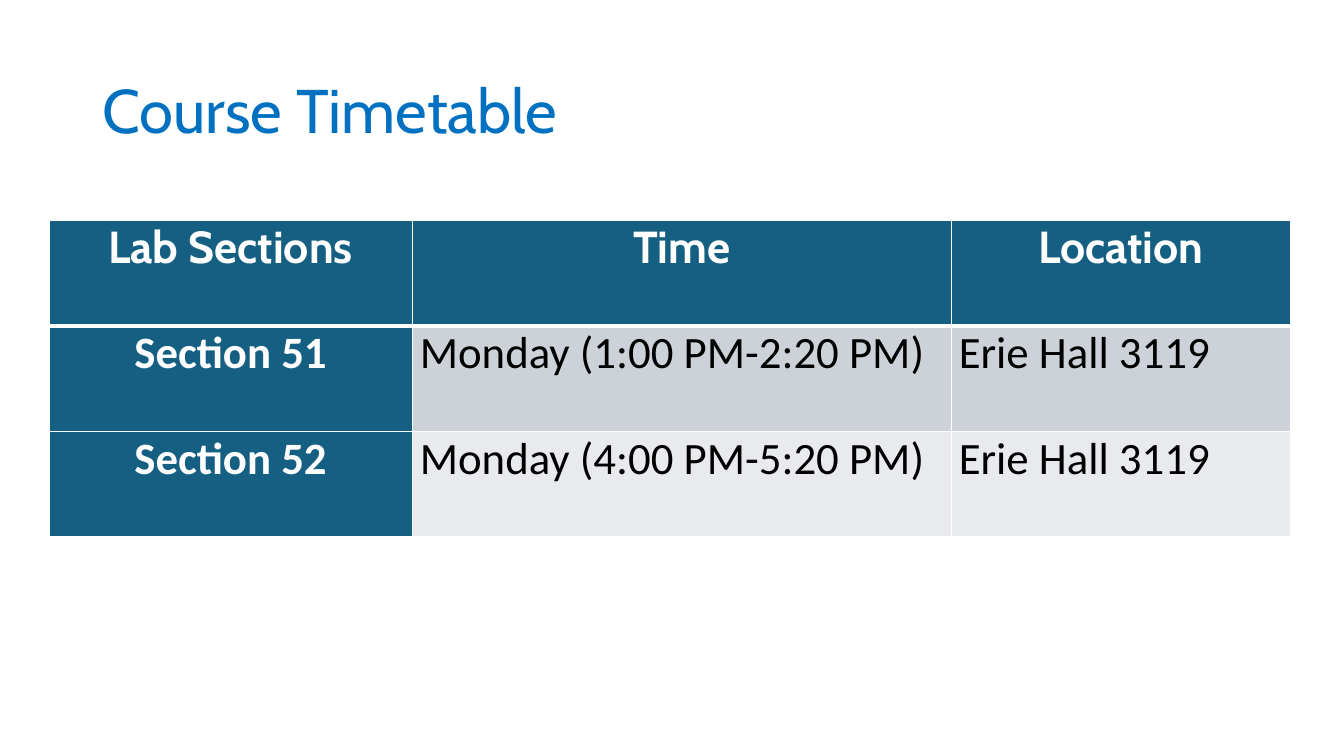
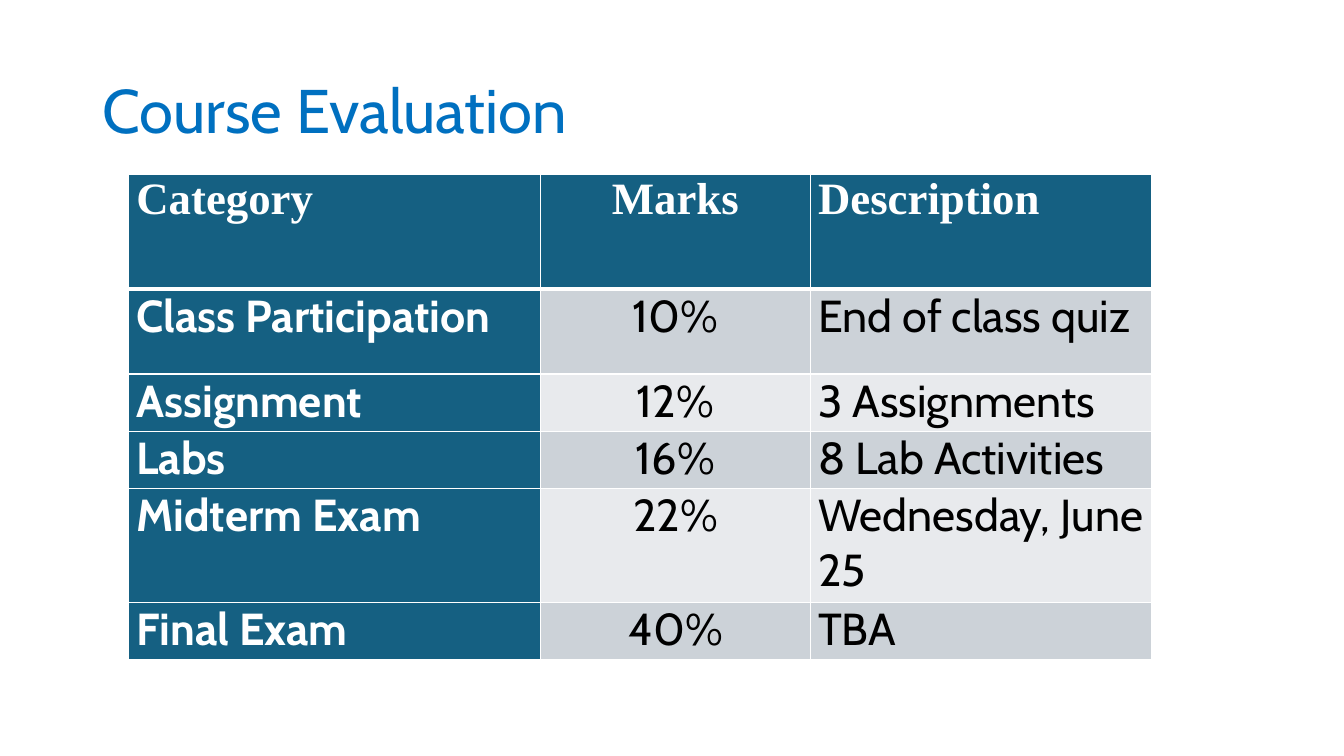
from lxml import etree
from pptx import Presentation
from pptx.dml.color import RGBColor
from pptx.enum import text as txt
from pptx.oxml import ns
from pptx.util import Pt

# Shared colours and fonts
TITLE_BLUE = RGBColor(0x00, 0x70, 0xC0)
TEAL = RGBColor(0x15, 0x60, 0x82)
BAND_DARK = RGBColor(0xCC, 0xD2, 0xD8)
BAND_LIGHT = RGBColor(0xE8, 0xEA, 0xED)
WHITE = RGBColor(0xFF, 0xFF, 0xFF)
BLACK = RGBColor(0x00, 0x00, 0x00)
CABIN, CALIBRI, TIMES = "Cabin", "Calibri", "Times New Roman"
LEFT, CENTER = txt.PP_ALIGN.LEFT, txt.PP_ALIGN.CENTER

# Slide content; positions and sizes in points
timetable = dict(
    title="Course Timetable",
    corner=(35, 157.5),
    widths=(259.5, 385, 242.5),
    heights=(75.4, 75.4, 75.4),
    header_font=CABIN, body_font=CALIBRI, space_after=0,
    header_align=(CENTER, CENTER, CENTER),
    body_align=(CENTER, LEFT, LEFT),
    rows=(
        ("Lab Sections", "Time", "Location"),
        ("Section 51", "Monday (1:00 PM-2:20 PM)", "Erie Hall 3119"),
        ("Section 52", "Monday (4:00 PM-5:20 PM)", "Erie Hall 3119"),
    ),
)
evaluation = dict(
    title="Course Evaluation",
    corner=(92, 124.8),
    widths=(294, 193, 243.5),
    heights=(81.4, 61, 40.8, 40.8, 81.4, 40.8),
    header_font=TIMES, body_font=CABIN, space_after=1.5,
    header_align=(LEFT, CENTER, LEFT),
    body_align=(LEFT, CENTER, LEFT),
    rows=(
        ("Category", "Marks", "Description"),
        ("Class Participation", "10%", "End of class quiz"),
        ("Assignment", "12%", "3 Assignments"),
        ("Labs", "16%", "8 Lab Activities"),
        ("Midterm Exam", "22%", "Wednesday, June 25"),
        ("Final Exam", "40%", "TBA"),
    ),
)


def add_text(paragraph, words, font, size, color, bold=False):
    run = paragraph.add_run()
    run.text = words
    run.font.name, run.font.size, run.font.bold = font, Pt(size), bold
    run.font.color.rgb = color


def add_borders(cell, top, bottom):
    """White cell borders; must come before the cell's fill."""
    for side, width in (("lnL", 1), ("lnR", 1), ("lnT", top), ("lnB", bottom)):
        line = etree.SubElement(cell._tc.get_or_add_tcPr(), ns.qn("a:" + side), w=str(Pt(width)))
        fill = etree.SubElement(line, ns.qn("a:solidFill"))
        etree.SubElement(fill, ns.qn("a:srgbClr"), val=str(WHITE))


prs = Presentation()
prs.slide_width, prs.slide_height = Pt(960), Pt(540)
title_only = prs.slide_layouts[5]

for content in (timetable, evaluation):
    slide = prs.slides.add_slide(title_only)

    # Title
    title = slide.shapes.title
    title.left, title.top, title.width, title.height = Pt(66), Pt(28.75), Pt(828), Pt(104.4)
    title.text_frame.vertical_anchor = txt.MSO_ANCHOR.MIDDLE
    heading = title.text_frame.paragraphs[0]
    heading.alignment, heading.line_spacing = LEFT, 0.9
    add_text(heading, content["title"], CABIN, 44, TITLE_BLUE)

    # Table grid
    rows, widths, heights = content["rows"], content["widths"], content["heights"]
    left, top = content["corner"]
    table = slide.shapes.add_table(len(rows), len(widths), Pt(left), Pt(top),
                                   Pt(sum(widths)), Pt(sum(heights))).table
    table.first_col = True
    for column, width in zip(table.columns, widths):
        column.width = Pt(width)
    for row, height in zip(table.rows, heights):
        row.height = Pt(height)

    # Cells: teal header row and first column, banded body
    for r, entries in enumerate(rows):
        is_header = r == 0
        band = BAND_DARK if r % 2 else BAND_LIGHT
        aligns = content["header_align" if is_header else "body_align"]
        font = content["header_font" if is_header else "body_font"]
        for c, words in enumerate(entries):
            cell = table.cell(r, c)
            is_label = is_header or c == 0
            add_borders(cell, top=3 if r == 1 else 1, bottom=3 if is_header else 1)
            cell.fill.solid()
            cell.fill.fore_color.rgb = TEAL if is_label else band
            cell.margin_left = cell.margin_right = Pt(5.4)
            cell.margin_top = cell.margin_bottom = 0
            entry = cell.text_frame.paragraphs[0]
            entry.alignment = aligns[c]
            entry.space_after = Pt(content["space_after"])
            add_text(entry, words, font, 32, WHITE if is_label else BLACK, is_label)

prs.save("out.pptx")
